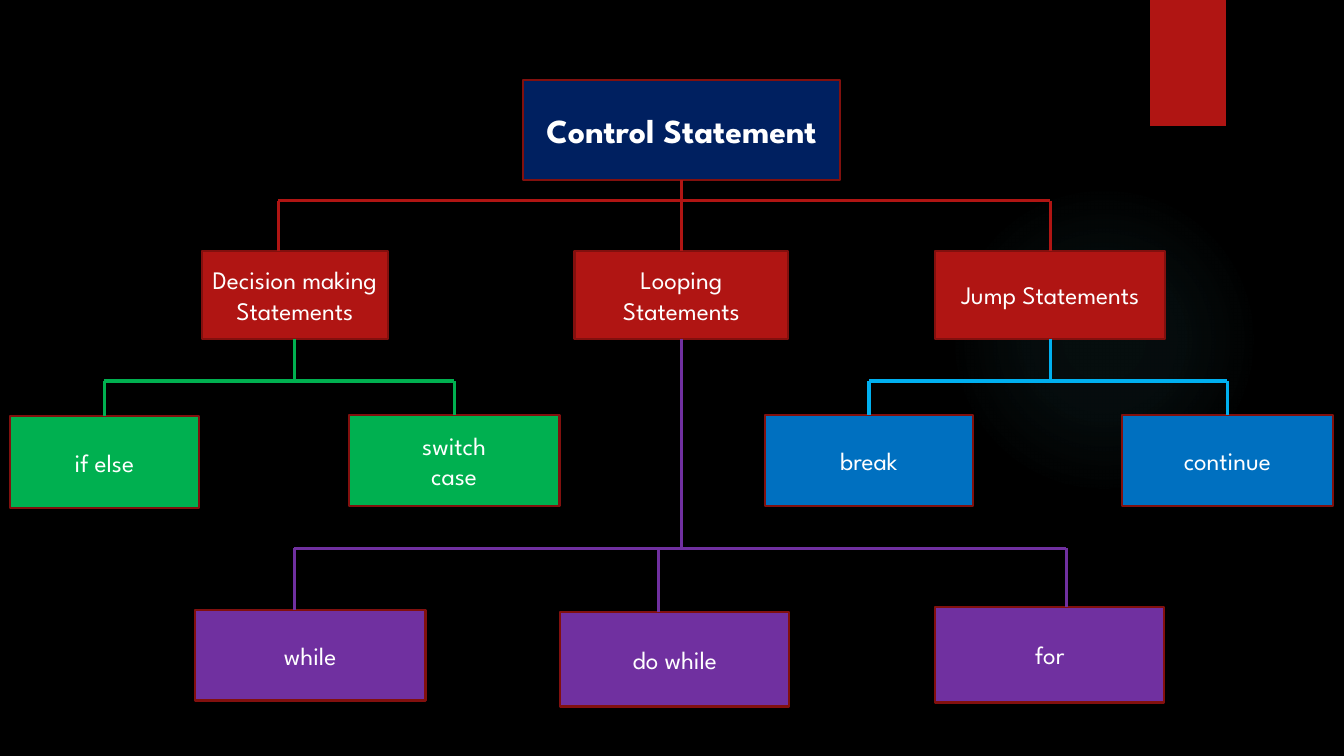
from collections import namedtuple
from lxml import etree
from pptx import Presentation, util as u
from pptx.dml.color import RGBColor
from pptx.enum import shapes, text
from pptx.oxml import parse_xml
from pptx.oxml.ns import nsdecls, qn

COLOURS = {
    "background": "000000", "text": "FFFFFF", "border": "82100E",
    "root": "002060", "red": "B01513", "green": "00B050",
    "blue": "0070C0", "sky": "00B0F0", "purple": "7030A0", "glow": "50B9C1",
}
FONT = "League Spartan"
WIDTH, HEIGHT = u.Inches(13.33), u.Inches(7.5)

Node = namedtuple("Node", "label left width top height drop", defaults=[None])


def columns(count):
    return round(WIDTH * count / 100)


def rows(count):
    return round(HEIGHT * count / 100)


def colour(name):
    return RGBColor.from_string(COLOURS[name])


def paint(shape, fill):
    shape.fill.solid()
    shape.fill.fore_color.rgb = colour(fill)


def add_line(slide, start, end, line_colour):
    line = slide.shapes.add_connector(shapes.MSO_CONNECTOR.STRAIGHT, *start, *end)
    line.line.color.rgb = colour(line_colour)
    line.line.width = u.Pt(2.25)
    etree.SubElement(line._element.spPr, qn("a:effectLst"))
    return line


def style_box(box, label, fill, size, bold=False):
    paint(box, fill)
    box.line.color.rgb = colour("border")
    box.line.width = u.Pt(1.5)
    frame = box.text_frame
    frame.text = label
    frame.word_wrap = True
    frame.auto_size = text.MSO_AUTO_SIZE.NONE
    frame.vertical_anchor = text.MSO_ANCHOR.MIDDLE
    for paragraph in frame.paragraphs:
        paragraph.alignment = text.PP_ALIGN.CENTER
        paragraph.line_spacing = 1.0
        paragraph.space_before = u.Pt(0)
        paragraph.font.name = FONT
        paragraph.font.size = u.Pt(size)
        paragraph.font.bold = bold
        paragraph.font.color.rgb = colour("text")


def draw_backdrop(slide):
    slide.background.fill.solid()
    slide.background.fill.fore_color.rgb = colour("background")
    diameter = columns(23.1)
    glow = slide.shapes.add_shape(shapes.MSO_SHAPE.OVAL, columns(70.58), rows(24.4),
                                  diameter, diameter)
    stops = "".join(
        f'<a:gs pos="{position * 1000}"><a:srgbClr val="{COLOURS["glow"]}">'
        f'<a:alpha val="{alpha * 1000}"/></a:srgbClr></a:gs>'
        for position, alpha in [(0, 7), (36, 6), (69, 0)])
    glow._element.spPr.find(qn("a:prstGeom")).addnext(parse_xml(
        f'<a:gradFill {nsdecls("a")}><a:gsLst>{stops}</a:gsLst><a:path path="circle">'
        '<a:fillToRect l="50000" t="50000" r="50000" b="50000"/></a:path></a:gradFill>'))
    tag = slide.shapes.add_shape(shapes.MSO_SHAPE.RECTANGLE, columns(85.58), 0,
                                 columns(5.63), rows(16.67))
    paint(tag, "red")
    for part in (glow, tag):
        part.line.fill.background()
        part.shadow.inherit = False


def draw_root(slide, left, top, width, height):
    root = slide.shapes.title
    root.left, root.top = columns(left), rows(top)
    root.width, root.height = columns(width), rows(height)
    style_box(root, "Control Statement", "root", 24, bold=True)
    return root


def draw_branch(slide, parent, left, bus_top, nodes, fill, line_colour):
    bus_y = rows(bus_top)
    boxes, drops = [], []
    for node in nodes:
        box = slide.shapes.add_shape(
            shapes.MSO_SHAPE.RECTANGLE, columns(left + node.left),
            rows(bus_top + node.top), columns(node.width), rows(node.height))
        box.shadow.inherit = False
        style_box(box, node.label, fill, 18)
        centred = node.drop is None
        x = box.left + box.width // 2 if centred else columns(left + node.drop)
        drop = add_line(slide, (x, bus_y), (x, box.top), line_colour)
        if centred:
            drop.end_connect(box, 0)
        boxes.append(box)
        drops.append(x)
    add_line(slide, (drops[0], bus_y), (drops[-1], bus_y), line_colour)
    trunk_x = parent.left + parent.width // 2
    trunk = add_line(slide, (trunk_x, parent.top + parent.height),
                     (trunk_x, bus_y), line_colour)
    trunk.begin_connect(parent, 2)
    return boxes


def draw_control_tree(slide):
    root = draw_root(slide, 38.93, 10.53, 23.55, 13.33)
    decision, looping, jump = draw_branch(slide, root, 15, 26.53, [
        Node("Decision making Statements", 0, 13.88, 6.67, 11.6, 5.7),
        Node("Looping Statements", 27.75, 15.9, 6.67, 11.6),
        Node("Jump Statements", 54.6, 17.1, 6.67, 11.6),
    ], "red", "red")
    draw_branch(slide, decision, 0.75, 50.4, [
        Node("if else", 0, 14.03, 4.67, 12.13),
        Node("switch\ncase", 25.2, 15.68, 4.53, 12),
    ], "green", "green")
    draw_branch(slide, jump, 56.93, 50.4, [
        Node("break", 0, 15.45, 4.53, 12),
        Node("continue", 26.55, 15.68, 4.53, 12),
    ], "blue", "sky")
    draw_branch(slide, looping, 14.48, 72.53, [
        Node("while", 0, 17.18, 8.14, 12, 7.42),
        Node("do while", 27.22, 17.03, 8.4, 12.53, 34.5),
        Node("for", 55.12, 17.03, 7.74, 12.67, 64.87),
    ], "purple", "purple")


def main():
    deck = Presentation()
    deck.slide_width, deck.slide_height = WIDTH, HEIGHT
    slide = deck.slides.add_slide(deck.slide_layouts[5])
    draw_backdrop(slide)
    draw_control_tree(slide)
    deck.save("out.pptx")


if __name__ == "__main__":
    main()
